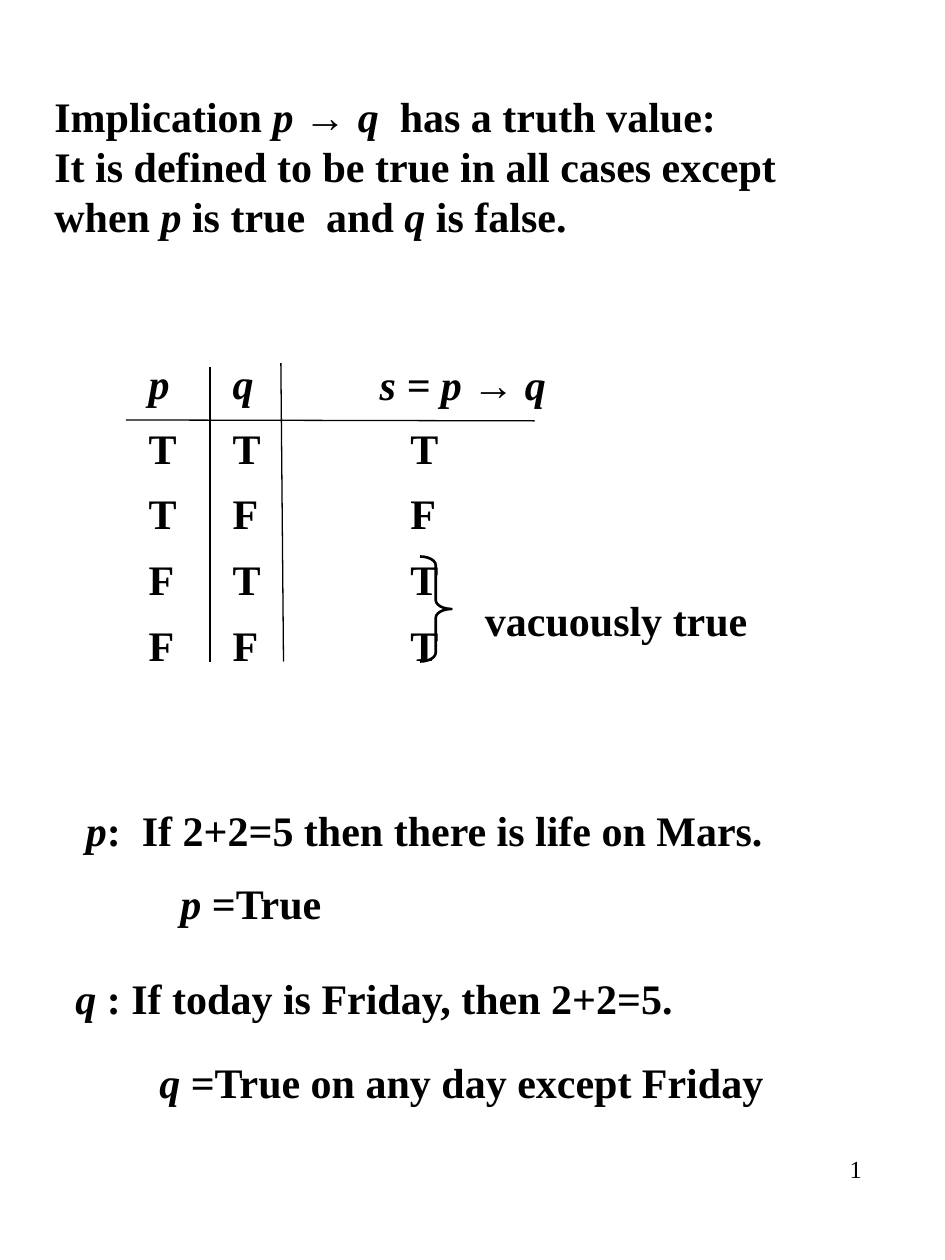
from lxml.etree import SubElement
from pptx import Presentation
from pptx.dml.color import RGBColor
from pptx.enum.shapes import MSO_CONNECTOR as Connector, MSO_SHAPE as Shape
from pptx.enum.text import PP_ALIGN as Align
from pptx.oxml.ns import qn
from pptx.util import Pt

COLORS = {"ink": "000000", "paper": "FFFFFF"}
INK = RGBColor.from_string(COLORS["ink"])
NO_STYLE_NO_GRID = "{2D5ABB26-0587-4C30-8999-92F81FD0307C}"


def write(frame, text, size=24, bold=True, align=Align.LEFT):
    """Fill a text frame; *stars* enclose italics, arrows are set in Arial."""
    frame.word_wrap = True
    for number, line in enumerate(text.split("\n")):
        paragraph = frame.paragraphs[0] if number == 0 else frame.add_paragraph()
        paragraph.alignment = align
        for index, part in enumerate(line.split("*")):
            if not part:
                continue
            run = paragraph.add_run()
            run.text = part
            run.font.name = "Arial" if "→" in part else "Times New Roman"
            run.font.size = Pt(size)
            run.font.bold = bold
            run.font.italic = index % 2 == 1
            run.font.color.rgb = INK


presentation = Presentation()
presentation.slide_width = Pt(540)
presentation.slide_height = Pt(720)
slide = presentation.slides.add_slide(presentation.slide_layouts[6])
slide.background.fill.solid()
slide.background.fill.fore_color.rgb = RGBColor.from_string(COLORS["paper"])

# Truth table
rows = [
    ("*p*", "*q*", "*s = p *→* q*"),
    ("T", "T", "T"),
    ("T", "F", "F"),
    ("F", "T", "T"),
    ("F", "F", "T"),
]
column_widths = [48, 41, 156]
row_heights = [32.5, 37.5, 37.5, 37.5, 28]
header_indents = [13, 13, 56]
value_indents = [13, 13, 73.5]

table_shape = slide.shapes.add_table(
    len(rows), len(column_widths), Pt(72), Pt(207),
    Pt(sum(column_widths)), Pt(sum(row_heights)))
table = table_shape.table
table.first_row = False
table.horz_banding = False
table._tbl.tblPr.find(qn("a:tableStyleId")).text = NO_STYLE_NO_GRID
for column, width in zip(table.columns, column_widths):
    column.width = Pt(width)
for row, height in zip(table.rows, row_heights):
    row.height = Pt(height)

for row_number, values in enumerate(rows):
    is_header = row_number == 0
    indents = header_indents if is_header else value_indents
    for column_number, value in enumerate(values):
        cell = table.cell(row_number, column_number)
        cell.margin_left = Pt(indents[column_number])
        cell.margin_right = cell.margin_bottom = Pt(0)
        cell.margin_top = Pt(0 if is_header else 4.5)
        cell.fill.background()
        write(cell.text_frame, value)

# Rules of the table: two between columns, one below the header
rules = [
    (120, 209.5, 120, 378),
    (160.5, 207.5, 162, 378),
    (72, 240, 305.5, 240.5),
]
for ends in rules:
    rule = slide.shapes.add_connector(Connector.STRAIGHT, *map(Pt, ends))
    rule.line.color.rgb = INK
    rule.line.width = Pt(0.75)
    SubElement(rule._element.spPr, qn("a:effectLst"))

# Brace around the two vacuous cases
brace = slide.shapes.add_shape(Shape.RIGHT_BRACE, Pt(240), Pt(318), Pt(18), Pt(60))
brace.shadow.inherit = False
brace.adjustments[0] = 0.28
brace.fill.background()
brace.line.color.rgb = INK
brace.line.width = Pt(1.5)

# Statement, brace label and examples: left, top, width, height, text
texts = [
    (24, 48, 440, 94,
     "Implication* p *→ *q  *has a truth value:\n"
     "It is defined to be true in all cases except\n"
     "when *p *is true  and *q *is false."),
    (270, 336, 176, 36, "vacuously true"),
    (42, 456, 414, 36, "*p*:  If 2+2=5 then there is life on Mars."),
    (96, 498, 103, 36, "*p *=True"),
    (36, 552, 370, 36, "*q *: If today is Friday, then 2+2=5."),
    (84, 600, 368, 36, "*q *=True on any day except Friday"),
]
for left, top, width, height, text in texts:
    box = slide.shapes.add_textbox(Pt(left), Pt(top), Pt(width), Pt(height))
    write(box.text_frame, text)

# Page number
box = slide.shapes.add_textbox(Pt(387), Pt(656), Pt(112.5), Pt(48))
write(box.text_frame, "1", size=14, bold=False, align=Align.RIGHT)

presentation.save("out.pptx")
